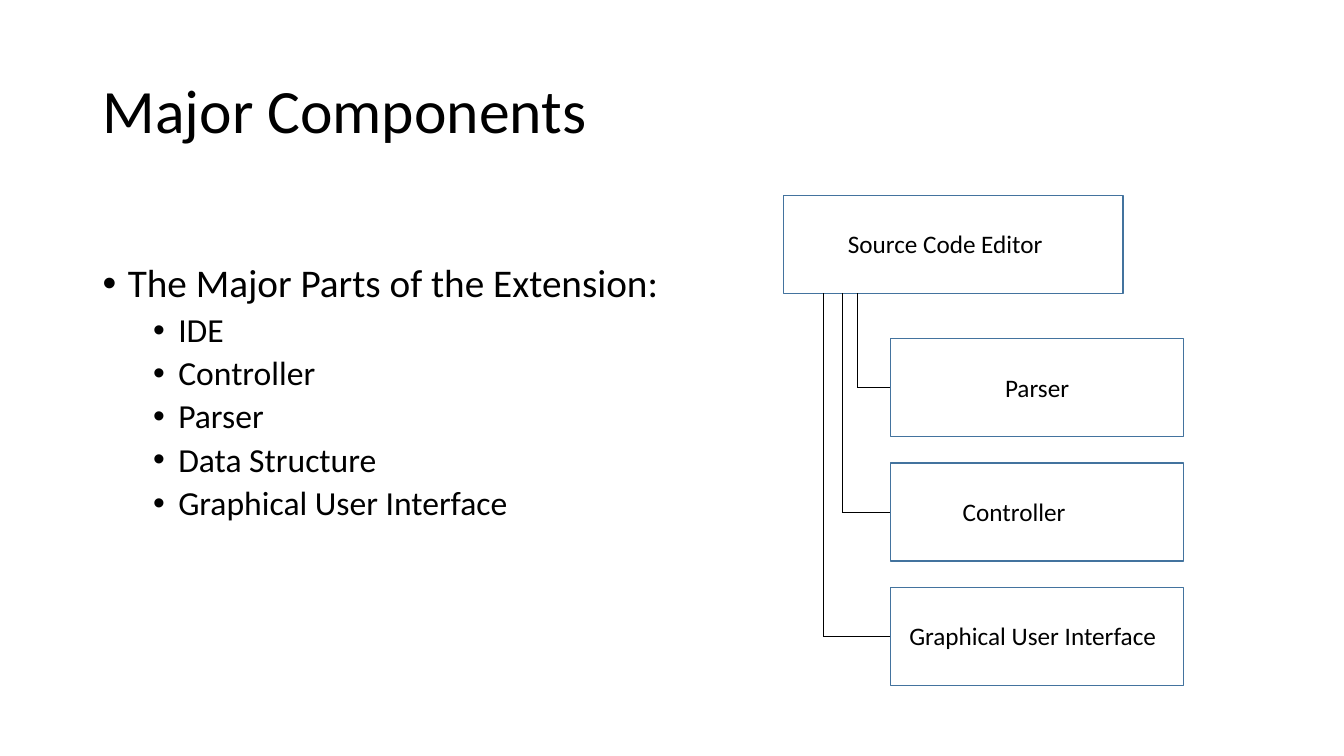
"""Build the Major Components slide with its component tree."""
from lxml import etree
from pptx import Presentation
from pptx.dml.color import RGBColor
from pptx.enum import shapes, text
from pptx.oxml import ns
from pptx.util import Inches, Pt

BLACK = RGBColor(0x00, 0x00, 0x00)
BOX_BLUE = RGBColor(0x43, 0x73, 0x9E)
FONT = "Calibri"
BOX_HEIGHT = 0.97
ROOT_TOP = 1.94
CHILD_LEFT = 8.83
CHILD_TOP = 3.36
CHILD_PITCH = 1.235
PARTS = ["IDE", "Controller", "Parser", "Data Structure", "Graphical User Interface"]
CHILDREN = [
    ("Parser", 9.87, 0.84, 8.5),
    ("Controller", 9.45, 1.23, 8.35),
    ("Graphical User Interface", 8.92, 2.67, 8.17),
]


def add_text_box(slide, left, top, width, height, wrap=True):
    """Add an empty text box and return its text frame."""
    box = slide.shapes.add_textbox(Inches(left), Inches(top), Inches(width), Inches(height))
    box.text_frame.word_wrap = wrap
    return box.text_frame


def add_run(paragraph, wording, size):
    """Add a black run to a paragraph."""
    run = paragraph.add_run()
    run.text = wording
    run.font.name = FONT
    run.font.size = Pt(size)
    run.font.color.rgb = BLACK


def add_title(slide, wording):
    """Add the slide title."""
    frame = add_text_box(slide, 0.92, 0.4, 11.5, 1.45)
    frame.vertical_anchor = text.MSO_ANCHOR.MIDDLE
    paragraph = frame.paragraphs[0]
    paragraph.line_spacing = 0.9
    add_run(paragraph, wording, 44)


def format_bullet(paragraph, level, indent, space_before):
    """Give a paragraph its level, spacing, hanging indent and bullet."""
    paragraph.level = level
    paragraph.line_spacing = 0.9
    paragraph.space_before = Pt(space_before)
    properties = paragraph._p.get_or_add_pPr()
    properties.set("marL", str(Inches(indent)))
    properties.set("indent", str(Inches(-0.25)))
    font = etree.SubElement(properties, ns.qn("a:buFont"))
    font.set("typeface", "Arial")
    bullet = etree.SubElement(properties, ns.qn("a:buChar"))
    bullet.set("char", "•")


def add_part_list(slide, heading, parts):
    """Add the heading bullet and the parts below it."""
    frame = add_text_box(slide, 0.92, 2.57, 7.94, 4.19)
    paragraph = frame.paragraphs[0]
    format_bullet(paragraph, 0, 0.25, 0)
    add_run(paragraph, heading, 28)
    for part in parts:
        paragraph = frame.add_paragraph()
        format_bullet(paragraph, 1, 0.75, 5)
        add_run(paragraph, part, 24)


def add_component(slide, left, top, width, wording, label_left, label_width):
    """Add an outlined box with its label."""
    shape = slide.shapes.add_shape(
        shapes.MSO_SHAPE.RECTANGLE,
        Inches(left), Inches(top), Inches(width), Inches(BOX_HEIGHT),
    )
    shape.shadow.inherit = False
    shape.fill.background()
    shape.line.color.rgb = BOX_BLUE
    shape.line.width = Pt(1)
    frame = add_text_box(slide, label_left, top + 0.28, label_width, 0.4, wrap=False)
    add_run(frame.paragraphs[0], wording, 18)


def add_line(slide, start, end):
    """Add a thin black line between two points."""
    line = slide.shapes.add_connector(
        shapes.MSO_CONNECTOR.STRAIGHT, *(Inches(value) for value in start + end)
    )
    line.line.color.rgb = BLACK
    line.line.width = Pt(0.5)
    etree.SubElement(line._element.spPr, ns.qn("a:effectLst"))


def add_component_tree(slide):
    """Add the root component and the children that hang from it."""
    add_component(slide, 7.77, ROOT_TOP, 3.37, "Source Code Editor", 8.31, 2.29)
    root_bottom = ROOT_TOP + BOX_HEIGHT
    for index, (wording, label_left, label_width, stem) in enumerate(CHILDREN):
        top = CHILD_TOP + index * CHILD_PITCH
        middle = top + BOX_HEIGHT / 2
        add_component(slide, CHILD_LEFT, top, 2.91, wording, label_left, label_width)
        add_line(slide, (stem, root_bottom), (stem, middle))
        add_line(slide, (stem, middle), (CHILD_LEFT, middle))


def main():
    """Build and save the presentation."""
    presentation = Presentation()
    presentation.slide_width = Inches(13.33)
    presentation.slide_height = Inches(7.5)
    slide = presentation.slides.add_slide(presentation.slide_layouts[6])
    add_title(slide, "Major Components")
    add_part_list(slide, "The Major Parts of the Extension:", PARTS)
    add_component_tree(slide)
    presentation.save("out.pptx")


if __name__ == "__main__":
    main()
